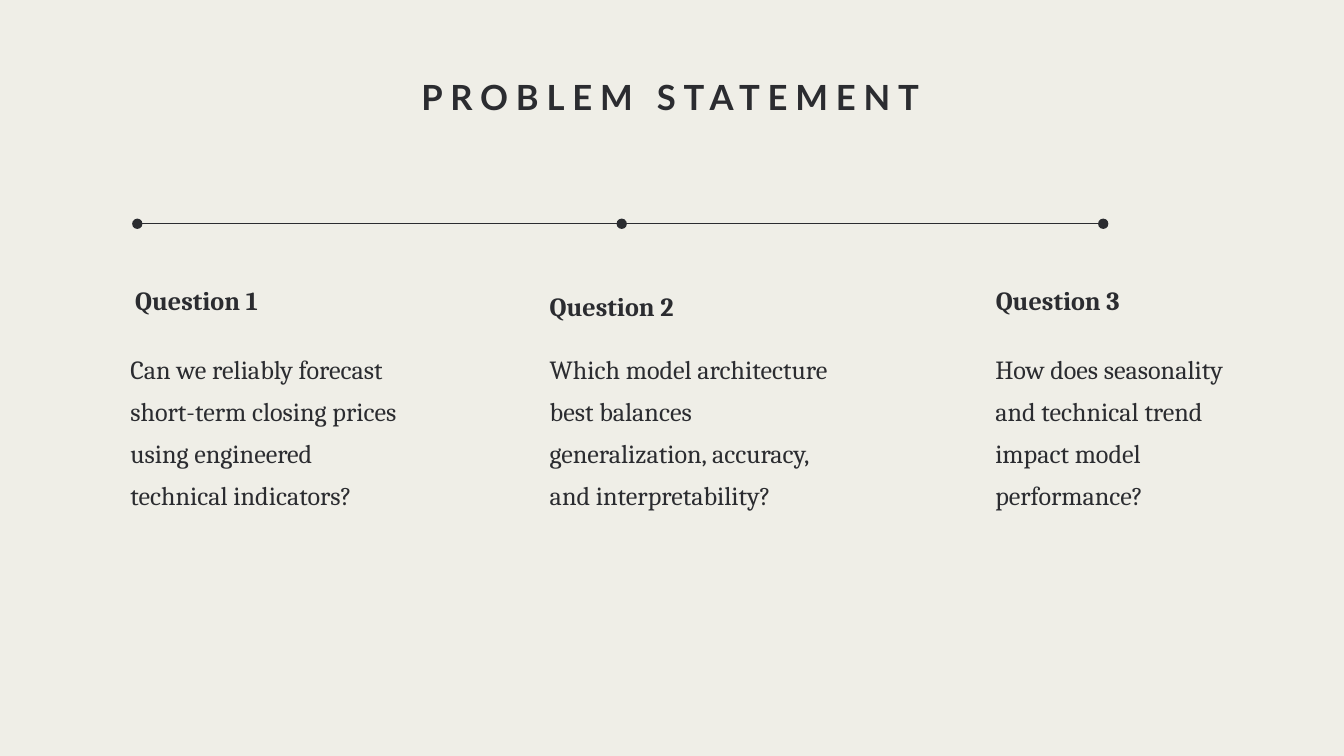
import pptx
import pptx.dml.color
import pptx.enum.shapes
import pptx.enum.text
import pptx.oxml.ns
import pptx.util
from lxml import etree
from pptx.util import Cm

INK = pptx.dml.color.RGBColor(0x2B, 0x2C, 0x30)
PAPER = pptx.dml.color.RGBColor(0xEF, 0xEE, 0xE7)
ALIGN = pptx.enum.text.PP_ALIGN

AXIS_Y = 8.46
DOT_SIZE = 0.39
MILESTONES = (5.19, 23.5, 41.7)
QUESTION_TOP = 12.98
HEADING_SIZE = (7.75, 1.14)

QUESTIONS = (
    ("Question 1", (5.11, 10.77), (4.93, 10.36, 9.25),
     "Can we reliably forecast short-term closing prices using engineered technical indicators?"),
    ("Question 2", (20.78, 10.97), (20.78, 11.35, 9.25),
     "Which model architecture best balances generalization, accuracy, and interpretability?"),
    ("Question 3", (37.64, 10.77), (37.62, 9.78, 7.67),
     "How does seasonality and technical trend impact model performance?"),
)


def write_text(frame, text, *, font="Cambria", size=28, leading=44.8,
               bold=False, align=ALIGN.LEFT, tracking=0):
    frame.margin_left = frame.margin_right = 0
    frame.margin_top = frame.margin_bottom = 0
    frame.word_wrap = True
    frame.auto_size = pptx.enum.text.MSO_AUTO_SIZE.SHAPE_TO_FIT_TEXT
    frame.vertical_anchor = pptx.enum.text.MSO_ANCHOR.TOP
    paragraph = frame.paragraphs[0]
    paragraph.alignment = align
    paragraph.line_spacing = pptx.util.Pt(leading)
    paragraph.space_before = pptx.util.Pt(0)
    run = paragraph.add_run()
    run.text = text
    run.font.name = font
    run.font.size = pptx.util.Pt(size)
    run.font.bold = bold
    run.font.color.rgb = INK
    if tracking:
        run._r.get_or_add_rPr().set("spc", str(round(tracking * 100)))


class TimelineSlide:
    def __init__(self, deck):
        self.slide = deck.slides.add_slide(deck.slide_layouts[5])
        self.slide.background.fill.solid()
        self.slide.background.fill.fore_color.rgb = PAPER

    def title(self, text, left, top, width, height, **style):
        heading = self.slide.shapes.title
        heading.left, heading.top = Cm(left), Cm(top)
        heading.width, heading.height = Cm(width), Cm(height)
        write_text(heading.text_frame, text, **style)

    def text(self, text, left, top, width, height, **style):
        box = self.slide.shapes.add_textbox(Cm(left), Cm(top), Cm(width), Cm(height))
        write_text(box.text_frame, text, **style)

    def axis(self, start, end, y):
        axis = self.slide.shapes.add_connector(
            pptx.enum.shapes.MSO_CONNECTOR.STRAIGHT, Cm(start), Cm(y), Cm(end), Cm(y))
        axis.line.color.rgb = INK
        axis.line.width = pptx.util.Pt(0.75)
        etree.SubElement(axis._element.spPr, pptx.oxml.ns.qn("a:effectLst"))

    def dot(self, x, y, size):
        dot = self.slide.shapes.add_shape(
            pptx.enum.shapes.MSO_SHAPE.OVAL,
            Cm(x - size / 2), Cm(y - size / 2), Cm(size), Cm(size))
        dot.shadow.inherit = False
        dot.fill.solid()
        dot.fill.fore_color.rgb = INK
        dot.line.fill.background()


def main():
    deck = pptx.Presentation()
    deck.slide_width, deck.slide_height = Cm(50.8), Cm(28.58)
    page = TimelineSlide(deck)
    page.title("PROBLEM STATEMENT", 2.79, 2.62, 45.09, 1.8, font="Lato", size=37.1,
               leading=52, bold=True, align=ALIGN.CENTER, tracking=8.4)

    page.axis(MILESTONES[0] + DOT_SIZE / 2, MILESTONES[-1] - DOT_SIZE / 2, AXIS_Y)
    for milestone in MILESTONES:
        page.dot(milestone, AXIS_Y, DOT_SIZE)

    for heading, heading_corner, (left, width, height), question in QUESTIONS:
        page.text(heading, *heading_corner, *HEADING_SIZE, leading=33.6, bold=True)
        page.text(question, left, QUESTION_TOP, width, height)

    deck.save("out.pptx")


if __name__ == "__main__":
    main()
